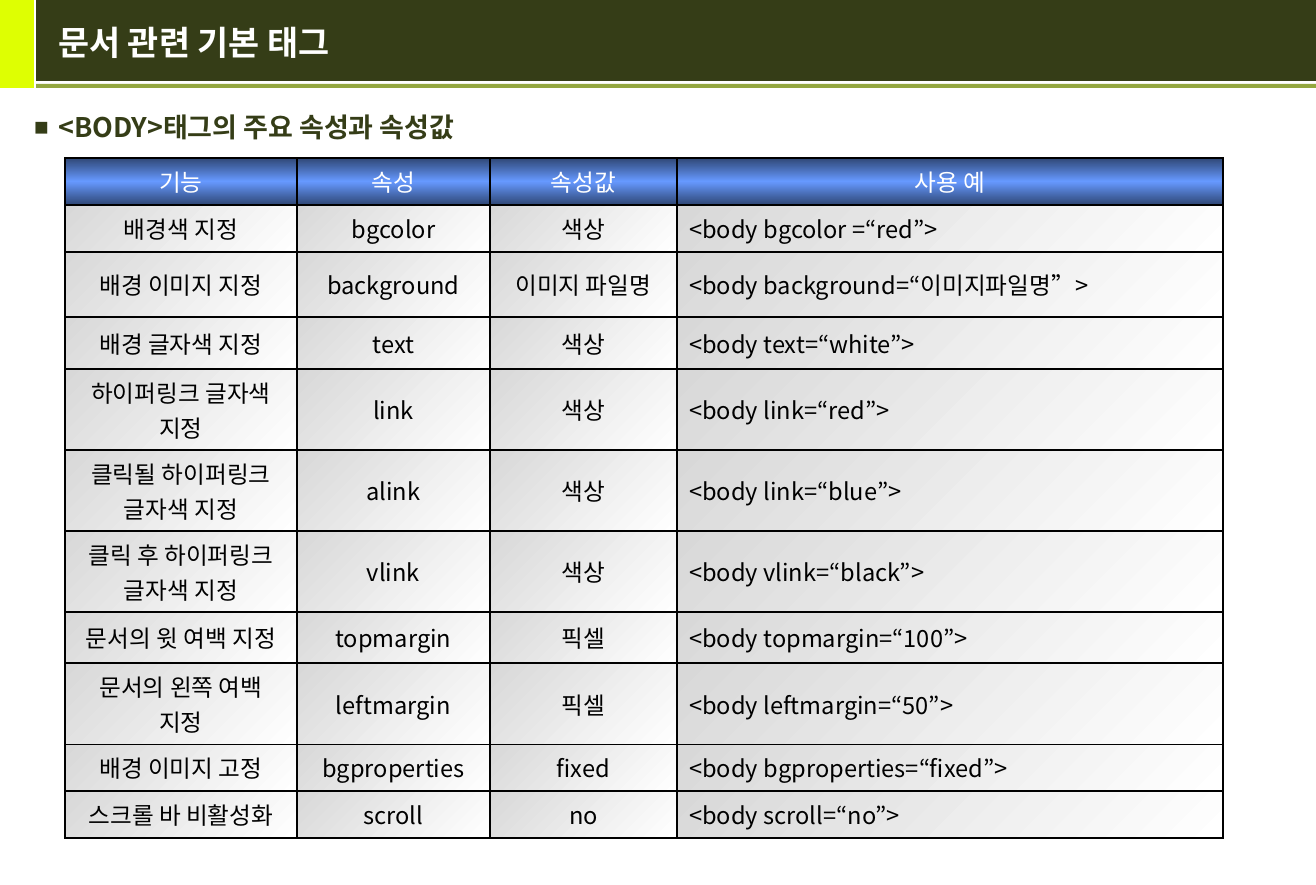
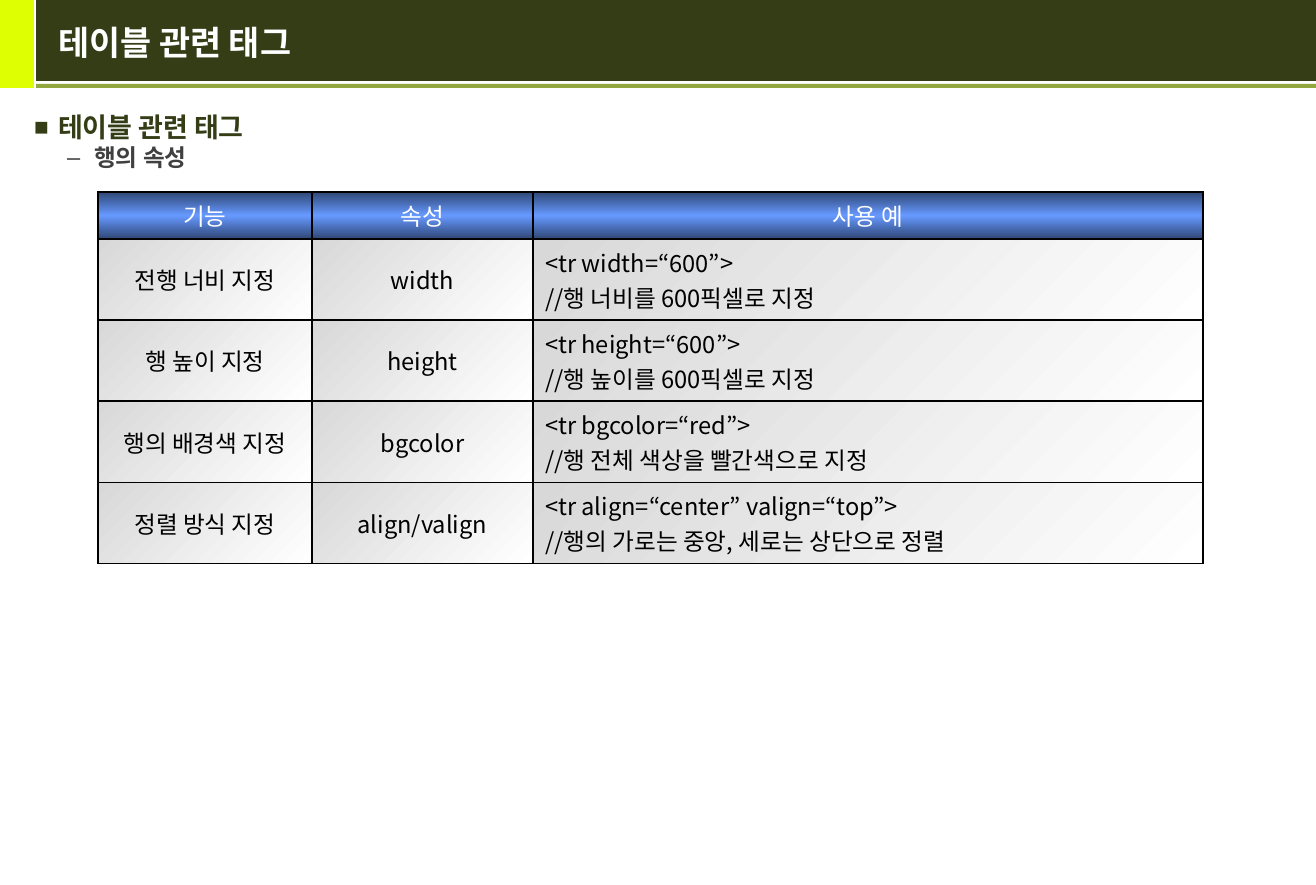
"""Build two slides on HTML tag attributes, each with a table under a banded title."""
from pptx import Presentation
from pptx import oxml, util as u
from pptx.dml.color import RGBColor
from pptx.enum import shapes, text
from pptx.oxml import ns

PX = 7526
FACE = "Noto Sans CJK KR"
HUES = {
    "lime": "DEFF02", "dark": "353D17", "olive": "93A73F",
    "white": "FFFFFF", "black": "000000", "gray": "404040",
    "navy": "2F4775", "blue": "6699FF", "pale": "D8D8D8",
}
HEAD = {"hues": ["navy", "blue", "navy"], "turn": 90, "ink": "white"}
CELL = {"hues": ["pale", "white"], "turn": 45, "ink": "black"}
LEVELS = [
    {"size": 16, "ink": "dark", "mark": "■", "pct": 90, "left": 24, "hang": 24, "gap": 0},
    {"size": 14, "ink": "gray", "mark": "–", "pct": 100, "left": 60, "hang": 27, "gap": 1.5},
]
BANDS = [
    ("lime", 0, 0, 34, 88),
    ("dark", 36, 0, 1280, 81),
    ("olive", 36, 84, 1280, 4),
]
PAGES = [
    {
        "title": "문서 관련 기본 태그",
        "list": ["<BODY>태그의 주요 속성과 속성값"],
        "at": (65, 158),
        "cols": [232, 193, 187, 546],
        "rows": [47, 47, 65, 52, 81, 81, 81, 51, 81, 46, 47],
        "cells": [
            ["기능", "속성", "속성값", "사용 예"],
            ["배경색 지정", "bgcolor", "색상", "<body bgcolor =“red”>"],
            ["배경 이미지 지정", "background", "이미지 파일명", "<body background=“이미지파일명”>"],
            ["배경 글자색 지정", "text", "색상", "<body text=“white”>"],
            ["하이퍼링크 글자색 지정", "link", "색상", "<body link=“red”>"],
            ["클릭될 하이퍼링크 글자색 지정", "alink", "색상", "<body link=“blue”>"],
            ["클릭 후 하이퍼링크 글자색 지정", "vlink", "색상", "<body vlink=“black”>"],
            ["문서의 윗 여백 지정", "topmargin", "픽셀", "<body topmargin=“100”>"],
            ["문서의 왼쪽 여백 지정", "leftmargin", "픽셀", "<body leftmargin=“50”>"],
            ["배경 이미지 고정", "bgproperties", "fixed", "<body bgproperties=“fixed”>"],
            ["스크롤 바 비활성화", "scroll", "no", "<body scroll=“no”>"],
        ],
    },
    {
        "title": "테이블 관련 태그",
        "list": ["테이블 관련 태그", "행의 속성"],
        "at": (98, 192),
        "cols": [214, 221, 670],
        "rows": [47, 81, 81, 81, 81],
        "cells": [
            ["기능", "속성", "사용 예"],
            ["전행 너비 지정", "width", "<tr width=“600”>\v//행 너비를 600픽셀로 지정"],
            ["행 높이 지정", "height", "<tr height=“600”>\v//행 높이를 600픽셀로 지정"],
            ["행의 배경색 지정", "bgcolor", "<tr bgcolor=“red”>\v//행 전체 색상을 빨간색으로 지정"],
            ["정렬 방식 지정", "align/valign",
             "<tr align=“center” valign=“top”>\v//행의 가로는 중앙, 세로는 상단으로 정렬"],
        ],
    },
]


def add(root, xml):
    """Append one drawing element to root."""
    head, tail = xml.split(">", 1) if not xml.endswith("/>") else (xml[:-2], None)
    decl = ns.nsdecls("a")
    full = f"{head} {decl}/>" if tail is None else f"{head} {decl}>{tail}"
    root.append(oxml.parse_xml(full))


def style(para, size, ink, bold):
    """Set the font of every run in a paragraph."""
    form = {"size": u.Pt(size), "bold": bold, "name": FACE}
    for run in para.runs:
        for key, val in form.items():
            setattr(run.font, key, val)
        run.font.color.rgb = RGBColor.from_string(HUES[ink])
        add(run.font._element, f'<a:ea typeface="{FACE}"/>')


deck = Presentation()
deck.slide_width, deck.slide_height = 1316 * PX, 885 * PX
plan = deck.slide_layouts[1]
spots = [(46, 0, 1254, 83), (22, 108, 1272, 756)]
for hold, spot in zip(plan.placeholders, spots):
    for key, val in zip(("left", "top", "width", "height"), spot):
        setattr(hold, key, val * PX)

for page in PAGES:
    slide = deck.slides.add_slide(plan)
    if page is PAGES[0]:
        for spot, (hue, *box) in enumerate(BANDS, 2):
            band = slide.shapes.add_shape(shapes.MSO_SHAPE.RECTANGLE, *[n * PX for n in box])
            band.fill.solid()
            band.fill.fore_color.rgb = RGBColor.from_string(HUES[hue])
            band.line.fill.background()
            band.shadow.inherit = False
            plan.shapes.element.insert(spot, band.element)

    title, body = slide.placeholders
    for hold, side in ((title, text.MSO_ANCHOR.MIDDLE), (body, text.MSO_ANCHOR.TOP)):
        form = {"word_wrap": True, "auto_size": text.MSO_AUTO_SIZE.NONE, "vertical_anchor": side}
        for key, val in form.items():
            setattr(hold.text_frame, key, val)
    title.text_frame.text = page["title"]
    para = title.text_frame.paragraphs[0]
    para.alignment = text.PP_ALIGN.LEFT
    style(para, 20, "white", True)

    body.text_frame.text = "\n".join(page["list"])
    for rank, (para, form) in enumerate(zip(body.text_frame.paragraphs, LEVELS)):
        para.level = rank
        para.line_spacing = 0.9
        para.space_before = u.Pt(form["gap"])
        style(para, form["size"], form["ink"], True)
        prop = para._p.get_or_add_pPr()
        prop.set("marL", str(form["left"] * PX))
        prop.set("indent", str(-form["hang"] * PX))
        add(prop, f'<a:buClr><a:srgbClr val="{HUES[form["ink"]]}"/></a:buClr>')
        add(prop, f'<a:buSzPct val="{form["pct"] * 1000}"/>')
        add(prop, f'<a:buChar char="{form["mark"]}"/>')

    cols, rows = page["cols"], page["rows"]
    box = [n * PX for n in (*page["at"], sum(cols), sum(rows))]
    grid = slide.shapes.add_table(len(rows), len(cols), *box).table
    grid.first_row = grid.horz_banding = False
    for col, wide in zip(grid.columns, cols):
        col.width = wide * PX
    for r, (row, tall) in enumerate(zip(grid.rows, rows)):
        row.height = tall * PX
        look = CELL if r else HEAD
        for c, cell in enumerate(row.cells):
            cell.text_frame.text = page["cells"][r][c]
            cell.vertical_anchor = text.MSO_ANCHOR.MIDDLE
            para = cell.text_frame.paragraphs[0]
            flush = r and c == len(cols) - 1
            para.alignment = text.PP_ALIGN.LEFT if flush else text.PP_ALIGN.CENTER
            style(para, 14, look["ink"], False)
            prop = cell._tc.get_or_add_tcPr()
            for side in "LRTB":
                add(prop, f'<a:ln{side} w="12700"><a:solidFill><a:srgbClr val="{HUES["black"]}"/>'
                          f'</a:solidFill></a:ln{side}>')
            last = len(look["hues"]) - 1
            stops = "".join(
                f'<a:gs pos="{100000 * i // last}"><a:srgbClr val="{HUES[hue]}"/></a:gs>'
                for i, hue in enumerate(look["hues"]))
            add(prop, f'<a:gradFill><a:gsLst>{stops}</a:gsLst>'
                      f'<a:lin ang="{look["turn"] * 60000}" scaled="1"/></a:gradFill>')

deck.save("out.pptx")
